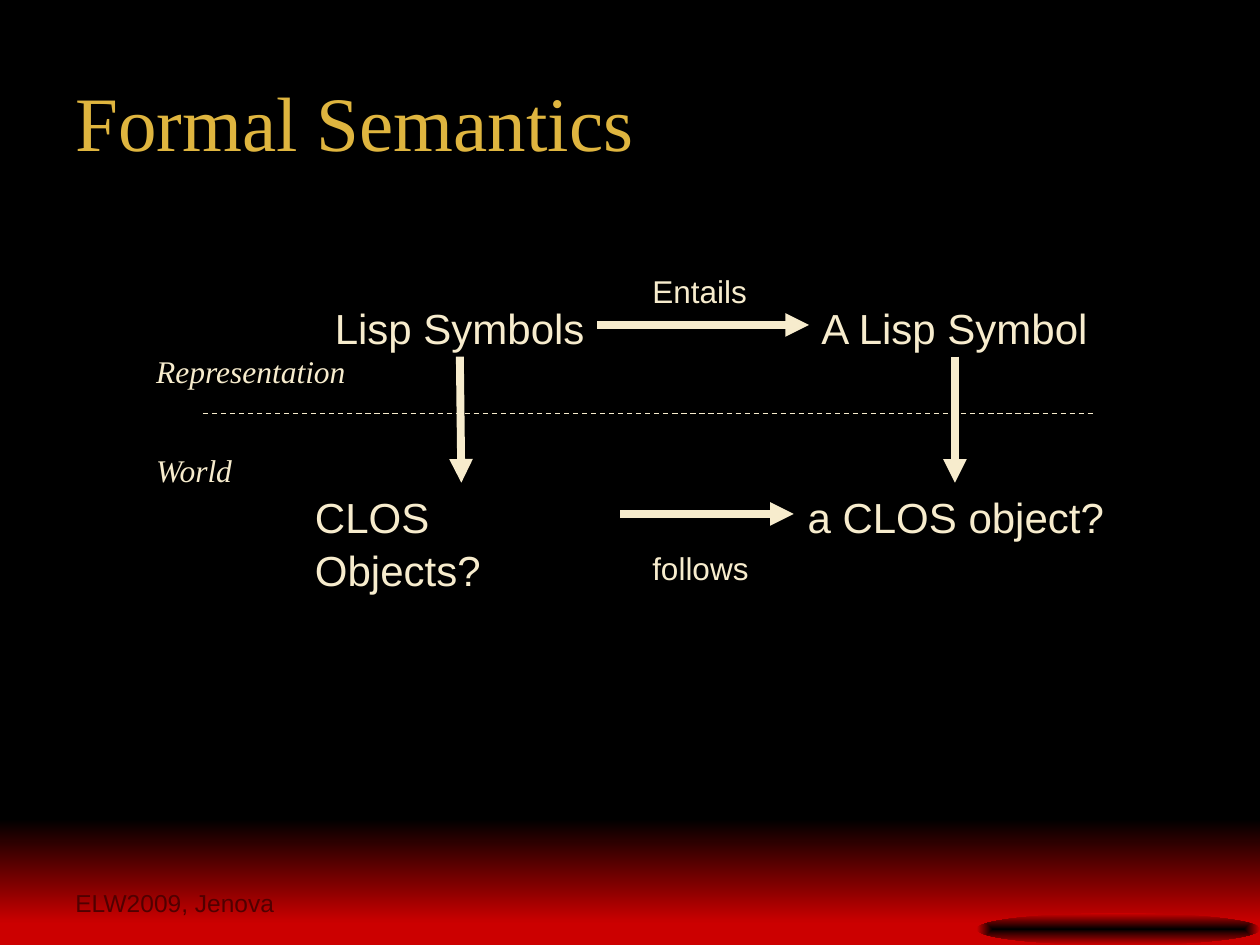
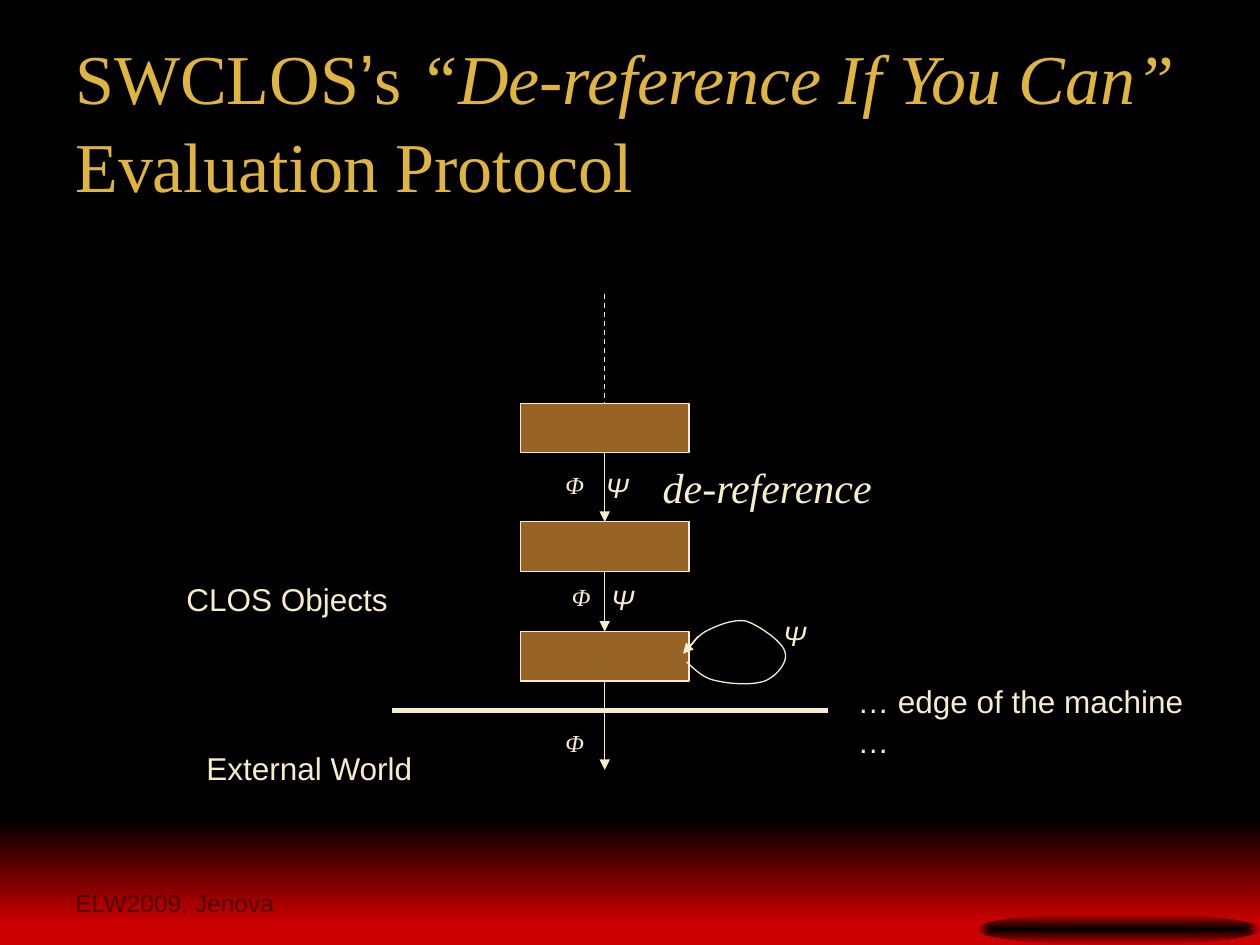
from dataclasses import dataclass

from lxml import etree
from pptx import Presentation
from pptx.dml.color import RGBColor
from pptx.enum.dml import MSO_LINE
from pptx.enum.shapes import MSO_CONNECTOR, MSO_SHAPE
from pptx.enum.text import MSO_ANCHOR, MSO_AUTO_SIZE
from pptx.oxml.ns import qn
from pptx.util import Cm, Pt

RECT, OVAL = MSO_SHAPE.RECTANGLE, MSO_SHAPE.OVAL
STRAIGHT, DASH = MSO_CONNECTOR.STRAIGHT, MSO_LINE.DASH
MIDDLE, BOTTOM = MSO_ANCHOR.MIDDLE, MSO_ANCHOR.BOTTOM
FIT = MSO_AUTO_SIZE.SHAPE_TO_FIT_TEXT

BLACK, RED, GOLD = "000000", "CC0000", "DFB53F"
CREAM, BROWN, DIM = "F7ECCD", "986426", "500000"
SANS, SERIF = "Arial", "Times New Roman"
LEADING = 1.05


@dataclass
class Label:
    text: str
    left: float
    top: float
    width: float
    size: int = 18
    font: str = SANS
    italic: bool = False


@dataclass
class Line:
    x1: float
    y1: float
    x2: float
    y2: float
    weight: float = 0.75
    arrow: bool = True
    dashed: bool = False


@dataclass
class Part:
    """One run of a title."""
    text: str
    font: str = SERIF
    italic: bool = False


# Slide 1: symbols above the dashed border, objects below it
SIGNS = [
    Label("Lisp Symbols", 6.5, 5.92, 5.54, 24),
    Label("A Lisp Symbol", 16.31, 5.92, 5.92, 24),
    Label("Entails", 12.9, 5.33, 2.41),
    Label("CLOS Objects?", 6.1, 9.73, 6.38, 24),
    Label("a CLOS object?", 16.03, 9.73, 6.48, 24),
    Label("follows", 12.9, 10.9, 2.44),
    Label("Representation", 2.9, 6.93, 4.34, font=SERIF, italic=True),
    Label("World", 2.9, 8.92, 2.08, font=SERIF, italic=True),
]
LINKS = [
    Line(12.04, 6.55, 16.31, 6.55, 4.5),
    Line(12.5, 10.36, 16, 10.36, 4.5),
    Line(19.25, 7.19, 19.25, 9.73, 4.5),
    Line(9.27, 7.19, 9.3, 9.73, 4.5),
    Line(4.09, 8.33, 22.1, 8.33, arrow=False, dashed=True),
]

# Slide 2: a chain of boxes down to the edge of the machine
AXIS, BOX_W, BOX_H = 12.19, 3.4, 1.0
TOPS = [8.13, 10.52, 12.73]
ENDS = TOPS[1:] + [15.52]
CHAIN = [Line(AXIS, top + BOX_H, AXIS, end) for top, end in zip(TOPS, ENDS)]
CHAIN += [
    Line(7.9, 14.33, 16.69, 14.33, 3, arrow=False),
    Line(14.07, 12.83, 13.77, 13.18),
    Line(AXIS, 5.92, AXIS, TOPS[0], arrow=False, dashed=True),
]
PHIS = [(11.15, 9.32), (11.28, 11.58), (11.15, 14.53)]
PSIS = [(11.96, 9.32), (12.07, 11.58), (15.54, 12.32)]
NOTES = [Label("Φ", x, y, 0.89, 14, SERIF, True) for x, y in PHIS]
NOTES += [Label("Ψ", x, y, 0.97, 16, SANS, True) for x, y in PSIS]
NOTES += [
    Label("… edge of the machine …", 17.04, 13.59, 7.87),
    Label("CLOS Objects", 3.51, 11.53, 4.57),
    Label("External World", 3.91, 14.94, 4.67),
    Label("de-reference", 13.11, 9.12, 4.78, 24, SERIF, True),
]
# Start point, then two handles and an end point per curve
LOOP = [
    (13.84, 13.34),
    (14, 13.49), (14.17, 13.67), (14.43, 13.72),
    (14.71, 13.79), (15.19, 13.82), (15.44, 13.72),
    (15.67, 13.61), (15.9, 13.34), (15.82, 13.13),
    (15.77, 12.93), (15.29, 12.6), (15.04, 12.52),
    (14.78, 12.47), (14.43, 12.62), (14.22, 12.73),
    (14.05, 12.83), (13.97, 12.97), (13.84, 13.13),
]
STEPS = 12


def paint(color, code: str) -> None:
    color.rgb = RGBColor.from_string(code)


def add_shape(slide, kind, left: float, top: float, width: float, height: float):
    shape = slide.shapes.add_shape(kind, Cm(left), Cm(top), Cm(width), Cm(height))
    shape.shadow.inherit = False
    shape.line.fill.background()
    return shape


def fill_flat(shape, code: str) -> None:
    shape.fill.solid()
    paint(shape.fill.fore_color, code)


def edge(shape, weight: float = 0.75) -> None:
    paint(shape.line.color, CREAM)
    shape.line.width = Pt(weight)


def fade(shape) -> None:
    """Black to red, from the top down."""
    shape.fill.gradient()
    shape.fill.gradient_angle = 270
    for stop, code in zip(shape.fill.gradient_stops, (BLACK, RED)):
        paint(stop.color, code)


def fade_out(shape) -> None:
    """Black to red, from the centre outwards."""
    fade(shape)
    grad = shape.fill._xPr.find(qn("a:gradFill"))
    ray = etree.Element(qn("a:path"), path="rect")
    half = dict.fromkeys("ltrb", "50000")
    etree.SubElement(ray, qn("a:fillToRect"), half)
    grad.replace(grad.find(qn("a:lin")), ray)


def style(font, name: str, size: int, code: str, italic: bool = False) -> None:
    font.name, font.size, font.italic = name, Pt(size), italic
    paint(font.color, code)


def add_box(slide, left: float, top: float, width: float, height: float):
    box = slide.shapes.add_textbox(Cm(left), Cm(top), Cm(width), Cm(height))
    frame = box.text_frame
    frame.word_wrap = True
    frame.paragraphs[0].line_spacing = LEADING
    return frame


def add_label(slide, label: Label) -> None:
    height = Pt(label.size * 1.2).cm + 0.25
    frame = add_box(slide, label.left, label.top, label.width, height)
    frame.word_wrap = False
    frame.auto_size = FIT
    para = frame.paragraphs[0]
    para.text = label.text
    style(para.font, label.font, label.size, CREAM, label.italic)


def add_line(slide, line: Line) -> None:
    wire = slide.shapes.add_connector(
        STRAIGHT, Cm(line.x1), Cm(line.y1), Cm(line.x2), Cm(line.y2))
    edge(wire, line.weight)
    if line.dashed:
        wire.line.dash_style = DASH
    if line.arrow:
        etree.SubElement(wire.line._get_or_add_ln(), qn("a:tailEnd"), type="triangle")
    etree.SubElement(wire._element.spPr, qn("a:effectLst"))


def bend(a, b, c, d, t: float) -> tuple:
    """Point at t on a cubic curve."""
    u = 1 - t
    return tuple(
        Cm(u**3 * p + 3 * u * u * t * q + 3 * u * t * t * r + t**3 * s)
        for p, q, r, s in zip(a, b, c, d))


def add_loop(slide) -> None:
    points = [
        bend(*LOOP[i:i + 4], step / STEPS)
        for i in range(0, len(LOOP) - 1, 3)
        for step in range(1, STEPS + 1)]
    x, y = LOOP[0]
    pen = slide.shapes.build_freeform(Cm(x), Cm(y))
    pen.add_line_segments(points, close=False)
    loop = pen.convert_to_shape()
    loop.shadow.inherit = False
    loop.fill.background()
    edge(loop)


def add_title(slide, parts: list[Part], size: int) -> None:
    frame = add_box(slide, 1.27, 0.84, 22.86, 3.1)
    frame.vertical_anchor = MIDDLE
    for part in parts:
        run = frame.paragraphs[0].add_run()
        run.text = part.text
        style(run.font, part.font, size, GOLD, part.italic)


def add_base(deck, parts: list[Part], size: int):
    """New slide with backdrop, bands, footer and title."""
    slide = deck.slides.add_slide(deck.slide_layouts[6])
    fill_flat(slide.background, BLACK)
    fill_flat(add_shape(slide, RECT, 0, 18.62, 25.4, 0.43), RED)
    fade(add_shape(slide, RECT, 0, 16.51, 25.4, 2.11))
    fade_out(add_shape(slide, OVAL, 19.69, 18.41, 5.71, 0.64))
    frame = add_box(slide, 1.27, 17.35, 5.28, 1.27)
    frame.vertical_anchor = BOTTOM
    para = frame.paragraphs[0]
    para.text = "ELW2009, Jenova"
    style(para.font, SANS, 14, DIM)
    add_title(slide, parts, size)
    return slide


def draw(slide, lines: list[Line], labels: list[Label]) -> None:
    for line in lines:
        add_line(slide, line)
    for label in labels:
        add_label(slide, label)


def main() -> None:
    deck = Presentation()
    deck.slide_width, deck.slide_height = Cm(25.4), Cm(19.05)

    # Formal semantics
    slide = add_base(deck, [Part("Formal Semantics")], 44)
    draw(slide, LINKS, SIGNS)

    # Evaluation protocol
    parts = [
        Part("SWCLOS"), Part("’", SANS), Part("s "),
        Part("“De-reference If You Can”", italic=True),
        Part(" Evaluation Protocol"),
    ]
    slide = add_base(deck, parts, 40)
    for top in TOPS:
        box = add_shape(slide, RECT, AXIS - BOX_W / 2, top, BOX_W, BOX_H)
        fill_flat(box, BROWN)
        edge(box)
    add_loop(slide)
    draw(slide, CHAIN, NOTES)

    deck.save("out.pptx")


if __name__ == "__main__":
    main()
